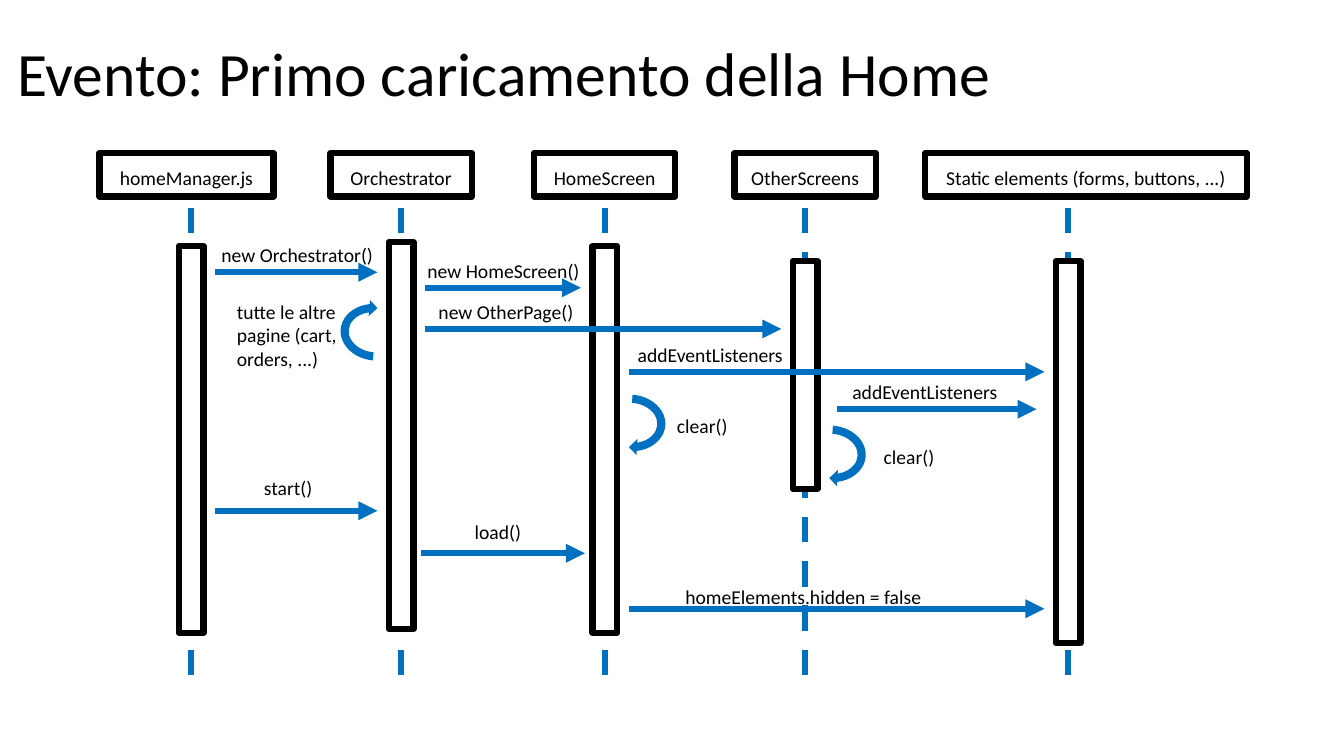
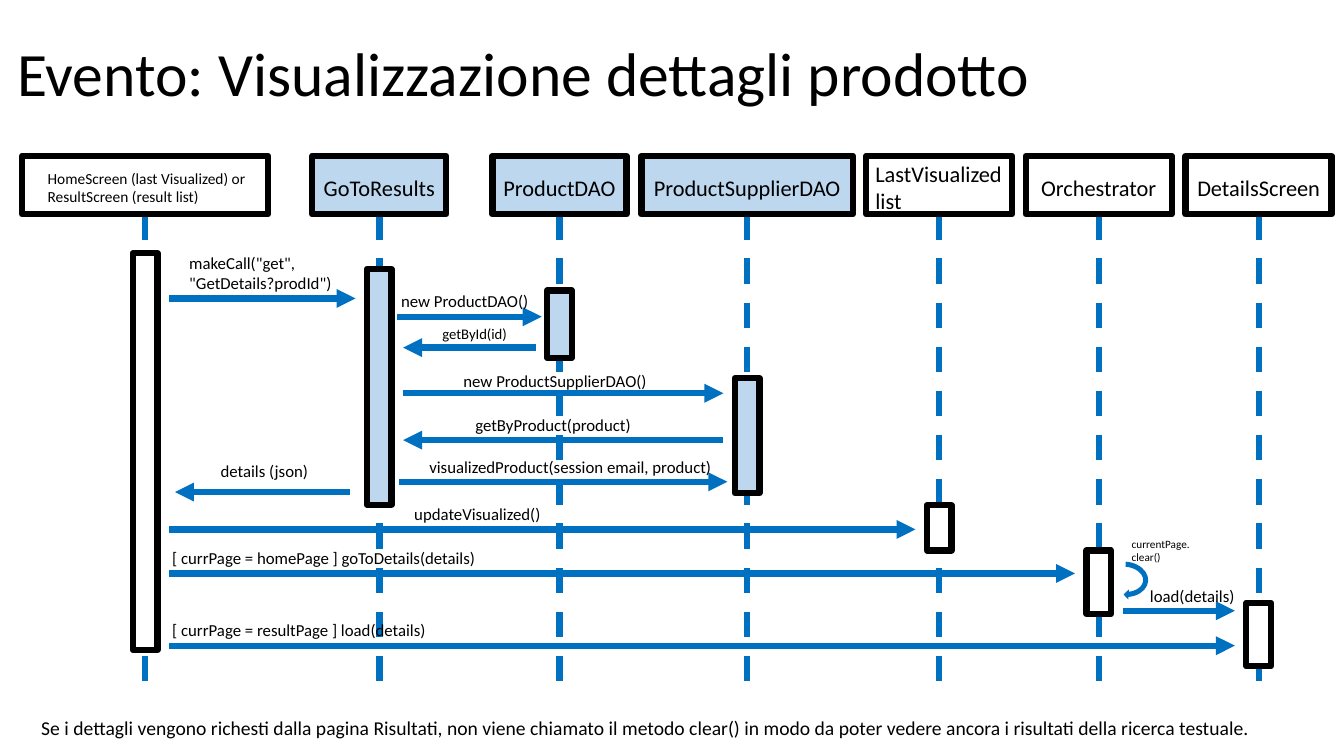
from dataclasses import dataclass
from pptx import Presentation
from pptx.dml.color import RGBColor
from pptx.enum.dml import MSO_LINE
from pptx.enum.shapes import MSO_CONNECTOR as CONN, MSO_SHAPE as SHAPE
from pptx.enum.text import MSO_ANCHOR as ANCHOR, PP_ALIGN as ALIGN
from pptx.oxml.ns import qn
from pptx.util import Cm, Pt
from lxml.etree import SubElement

BLACK = RGBColor(0x00, 0x00, 0x00)
WHITE = RGBColor(0xFF, 0xFF, 0xFF)
BLUE = RGBColor(0x00, 0x70, 0xC0)
PALE = RGBColor(0xBD, 0xD7, 0xEE)
FONT = "Calibri"
STROKE = Pt(4.5)
LIFE_LENGTH = 12.04
BAR_WIDTH = 0.62


@dataclass
class Actor:
    name: str
    x: float
    width: float
    bar_top: float
    bar_height: float
    fill: RGBColor = WHITE
    shift: float = 0
    size: float = None
    indent: float = None


@dataclass
class Message:
    text: str
    start: str
    end: str
    y: float
    left: float
    gap: float = 0.6
    lift: float = 0
    size: float = None
    width: float = None
    lines: int = 1


@dataclass
class Loop:
    text: str
    actor: str
    y: float
    left: float
    side: int = 1
    lift: float = 0
    size: float = None
    width: float = None
    lines: int = 1


@dataclass
class Diagram:
    title: str
    head_top: float
    head_height: float
    head_size: float
    label_size: float
    loop_size: tuple
    actors: dict
    messages: list
    loops: list
    note: str = ""


DIAGRAMS = [
    Diagram(
        "Evento: Primo caricamento della Home", 3.86, 1.09, 14, 14, (1.63, 1.96),
        {
            "manager": Actor("homeManager.js", 4.82, 4.39, 6.2, 9.75, shift=-0.12),
            "orch": Actor("Orchestrator", 10.11, 3.56, 6.1, 9.75),
            "home": Actor("HomeScreen", 15.24, 3.56, 6.2, 9.75),
            "other": Actor("OtherScreens", 20.29, 3.56, 6.58, 5.74),
            "static": Actor("Static elements (forms, buttons, ...)", 26.92, 8.1, 6.58, 9.63, shift=0.45),
        },
        [
            Message("new Orchestrator()", "manager", "orch", 6.86, 5.33),
            Message("new HomeScreen()", "orch", "home", 7.25, 10.52),
            Message("new OtherPage()", "orch", "other", 8.29, 10.8),
            Message("addEventListeners", "home", "static", 9.37, 15.82),
            Message("addEventListeners", "other", "static", 10.31, 21.23, gap=0.8),
            Message("start()", "manager", "orch", 12.87, 6.4, lift=0.15),
            Message("load()", "orch", "home", 13.94, 11.71, gap=0.5, lift=0.1),
            Message("homeElements.hidden = false", "home", "static", 15.34, 17.02, lift=-0.13),
        ],
        [
            Loop("clear()", "other", 11.44, 22.02),
            Loop("clear()", "home", 10.66, 16.81),
            Loop("tutte le altre pagine (cart, orders, ...)", "orch", 8.37, 5.72, side=-1, width=3.2, lines=3),
        ],
    ),
    Diagram(
        "Evento: Visualizzazione dettagli prodotto", 3.93, 1.47, 16, 12, (1.02, 1.32),
        {
            "screen": Actor("HomeScreen (last Visualized) or\nResultScreen (result list)", 3.66, 6.2, 6.38, 10,
                            size=11, indent=0.64),
            "results": Actor("GoToResults", 9.56, 3.38, 6.78, 5.94, PALE),
            "product": Actor("ProductDAO", 14.1, 3.38, 7.32, 1.7, PALE),
            "supplier": Actor("ProductSupplierDAO", 18.83, 5.33, 9.53, 2.9, PALE),
            "last": Actor("LastVisualized\nlist", 23.67, 3.68, 12.73, 1.14, indent=0.23),
            "orch": Actor("Orchestrator", 27.69, 3.68, 13.87, 1.6),
            "details": Actor("DetailsScreen", 31.72, 3.68, 15.19, 1.6),
        },
        [
            Message('makeCall("get", "GetDetails?prodId")', "screen", "results", 7.52, 4.52, width=4.24, lines=2),
            Message("new ProductDAO()", "results", "product", 7.98, 9.86, gap=0.45),
            Message("getById(id)", "product", "results", 8.76, 10.9, size=10.5),
            Message("new ProductSupplierDAO()", "results", "supplier", 9.91, 11.43, lift=-0.08),
            Message("getByProduct(product)", "supplier", "results", 11.09, 11.73),
            Message("visualizedProduct(session email, product)", "results", "supplier", 12.14, 10.57, gap=0.5),
            Message("details (json)", "results", "screen", 12.4, 5.31, gap=0.75, lift=0.15),
            Message("updateVisualized()", "screen", "last", 13.34, 10.19),
            Message("[ currPage = homePage ] goToDetails(details)", "screen", "orch", 14.45, 4.09),
            Message("[ currPage = resultPage ] load(details)", "screen", "details", 16.27, 4.09),
            Message("load(details)", "orch", "details", 15.39, 28.73),
        ],
        [Loop("currentPage.clear()", "orch", 14.6, 28.27, lift=0.8, size=8, width=2.05, lines=2)],
        "Se i dettagli vengono richesti dalla pagina Risultati, non viene chiamato il metodo clear() "
        "in modo da poter vedere ancora i risultati della ricerca testuale.",
    ),
]


def write(sp, text, size=14, anchor=ANCHOR.TOP, align=ALIGN.LEFT, spacing=None):
    tf = sp.text_frame
    tf.word_wrap = True
    tf.vertical_anchor = anchor
    tf.text = text
    for p in tf.paragraphs:
        p.alignment = align
        p.line_spacing = spacing
        p.font.name = FONT
        p.font.size = Pt(size)
        p.font.color.rgb = BLACK


def text_height(size, lines=1):
    return 0.25 + 0.043 * size * lines


def add_label(s, text, left, top, width, height, **fmt):
    write(s.shapes.add_textbox(Cm(left), Cm(top), Cm(width), Cm(height)), text, **fmt)


def add_caption(s, item, bottom, size):
    size = item.size or size
    width = item.width or 0.6 + 0.0195 * size * len(item.text)
    height = text_height(size, item.lines)
    add_label(s, item.text, item.left, bottom - item.lift - height, width, height, size=size)


def add_box(s, center, top, width, height, fill, kind=SHAPE.RECTANGLE, outline=True):
    sp = s.shapes.add_shape(kind, Cm(center - width / 2), Cm(top), Cm(width), Cm(height))
    sp.shadow.inherit = False
    sp.fill.solid()
    sp.fill.fore_color.rgb = fill
    if outline:
        sp.line.color.rgb = BLACK
        sp.line.width = STROKE
    else:
        sp.line.fill.background()
    return sp


def add_line(s, x1, y1, x2, y2, arrow=False):
    line = s.shapes.add_connector(CONN.STRAIGHT, Cm(x1), Cm(y1), Cm(x2), Cm(y2))
    line.line.color.rgb = BLUE
    line.line.width = STROKE
    if arrow:
        SubElement(line.line._get_or_add_ln(), qn("a:tailEnd"), type="triangle")
    else:
        line.line.dash_style = MSO_LINE.DASH
    SubElement(line._element.spPr, qn("a:effectLst"))


def add_actor(s, d, a):
    top = d.head_top + d.head_height
    life_top = top + (0.29 if d.head_height < 1.2 else 0)
    add_line(s, a.x, life_top, a.x, life_top + LIFE_LENGTH)
    head = add_box(s, a.x + a.shift, d.head_top, a.width, d.head_height, a.fill)
    align = ALIGN.LEFT if a.indent else ALIGN.CENTER
    write(head, a.name, a.size or d.head_size, anchor=ANCHOR.MIDDLE, align=align)
    tf = head.text_frame
    tf.margin_left, tf.margin_right = Cm(a.indent or 0), 0
    tf.margin_top, tf.margin_bottom = Cm(0.12), 0
    add_box(s, a.x, a.bar_top, BAR_WIDTH, a.bar_height, a.fill)


def add_message(s, d, m):
    x1, x2 = d.actors[m.start].x, d.actors[m.end].x
    gap = m.gap if x1 < x2 else -m.gap
    add_line(s, x1 + gap, m.y, x2 - gap, m.y, arrow=True)


def add_loop(s, d, loop):
    width, height = d.loop_size
    center = d.actors[loop.actor].x + 0.65 * loop.side
    sp = add_box(s, center, loop.y - height / 2, width, height, BLUE, SHAPE.CIRCULAR_ARROW, outline=False)
    sp.rotation = 94 if loop.side > 0 else 275


def add_diagram(prs, d):
    s = prs.slides.add_slide(prs.slide_layouts[6])
    add_label(s, d.title, 0.18, 0.1, 30.68, 3.68, size=44, anchor=ANCHOR.MIDDLE, spacing=0.9)
    for a in d.actors.values():
        add_actor(s, d, a)
    for m in d.messages:
        add_message(s, d, m)
    for loop in d.loops:
        add_loop(s, d, loop)
    for m in d.messages:
        add_caption(s, m, m.y, d.label_size)
    for loop in d.loops:
        half = text_height(loop.size or d.label_size, loop.lines) / 2
        add_caption(s, loop, loop.y + half + 0.08, d.label_size)
    if d.note:
        add_label(s, d.note, 0.79, 17.91, 31.9, text_height(14))


def main():
    prs = Presentation()
    prs.slide_width, prs.slide_height = Cm(33.87), Cm(19.05)
    for d in DIAGRAMS:
        add_diagram(prs, d)
    prs.save("out.pptx")


if __name__ == "__main__":
    main()
